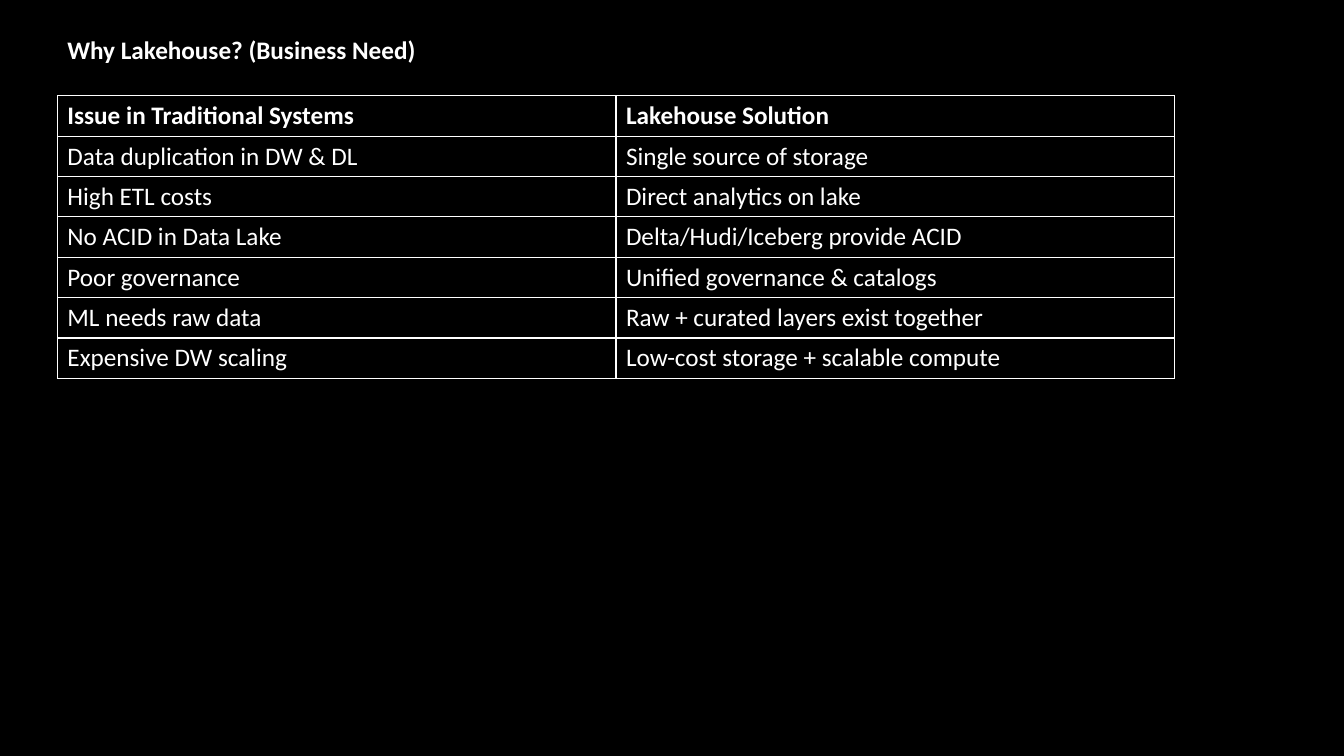
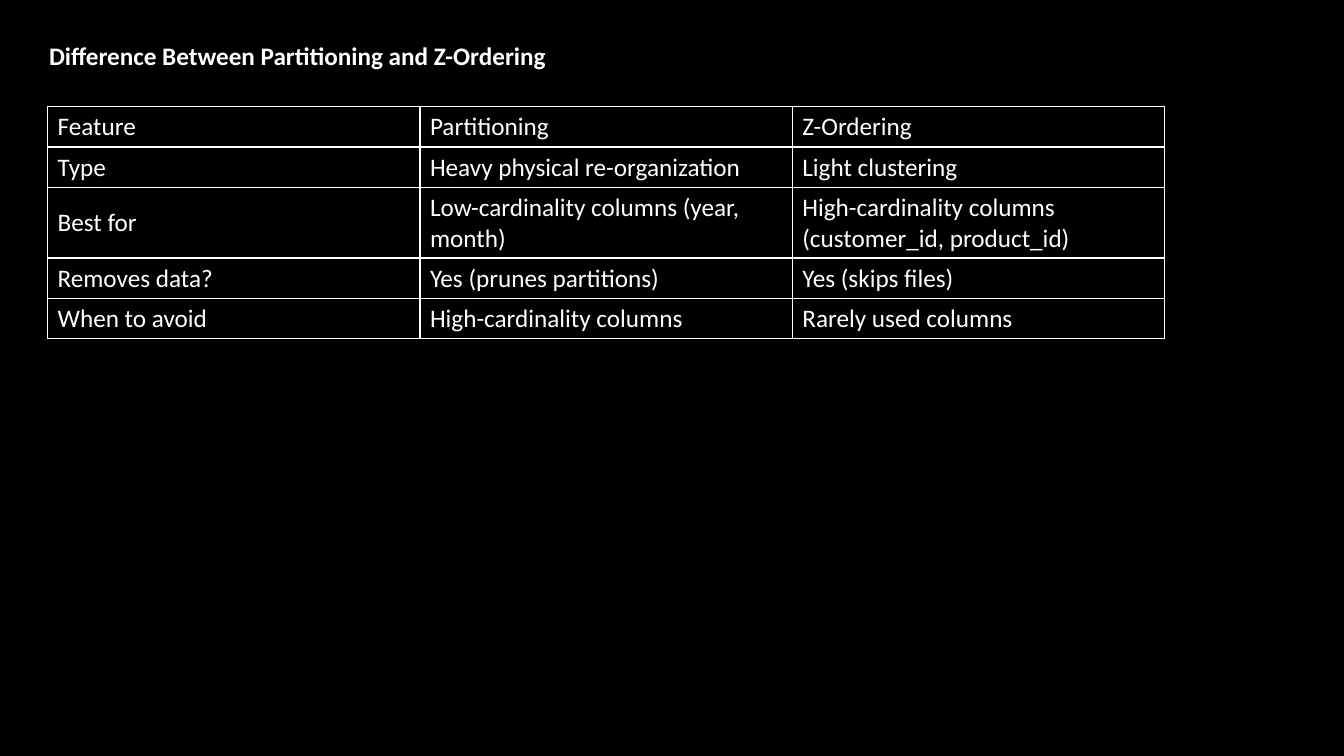
from lxml import etree
from pptx import Presentation
from pptx.dml.color import RGBColor
from pptx.enum import text
from pptx.oxml import ns
from pptx.util import Pt

BACKGROUND = "000000"
FOREGROUND = "FFFFFF"
FONT = "Calibri"
FONT_SIZE = 18
TITLE_HEIGHT = 29
TABLE_WIDTH = 798
LINE_HEIGHT = 21.6
ROW_PADDING = 7.2

# Positions are (left, top); row_lines counts the text lines of each row
SLIDES = [
    {
        "title": "Why Lakehouse? (Business Need)",
        "title_at": (41, 21),
        "title_width": 841,
        "table_at": (41, 68.4),
        "bold_header": True,
        "row_lines": [1] * 7,
        "rows": [
            ("Issue in Traditional Systems", "Lakehouse Solution"),
            ("Data duplication in DW & DL", "Single source of storage"),
            ("High ETL costs", "Direct analytics on lake"),
            ("No ACID in Data Lake", "Delta/Hudi/Iceberg provide ACID"),
            ("Poor governance", "Unified governance & catalogs"),
            ("ML needs raw data", "Raw + curated layers exist together"),
            ("Expensive DW scaling", "Low-cost storage + scalable compute"),
        ],
    },
    {
        "title": "Difference Between Partitioning and Z-Ordering",
        "title_at": (28, 25.2),
        "title_width": 692,
        "table_at": (34, 76.2),
        "bold_header": False,
        "row_lines": [1, 1, 2, 1, 1],
        "rows": [
            ("Feature", "Partitioning", "Z-Ordering"),
            ("Type", "Heavy physical re-organization", "Light clustering"),
            ("Best for", "Low-cardinality columns (year, month)",
             "High-cardinality columns (customer_id, product_id)"),
            ("Removes data?", "Yes (prunes partitions)", "Yes (skips files)"),
            ("When to avoid", "High-cardinality columns", "Rarely used columns"),
        ],
    },
]


def paint(color_format, hex_color):
    color_format.rgb = RGBColor.from_string(hex_color)


def style_text(text_frame, bold):
    font = text_frame.paragraphs[0].runs[0].font
    font.name = FONT
    font.size = Pt(FONT_SIZE)
    font.bold = bold
    paint(font.color, FOREGROUND)


presentation = Presentation()
presentation.slide_width = Pt(960)
presentation.slide_height = Pt(540)

for content in SLIDES:
    slide = presentation.slides.add_slide(presentation.slide_layouts[6])
    slide.background.fill.solid()
    paint(slide.background.fill.fore_color, BACKGROUND)

    # Title
    left, top = content["title_at"]
    title = slide.shapes.add_textbox(
        Pt(left), Pt(top), Pt(content["title_width"]), Pt(TITLE_HEIGHT))
    title.text_frame.word_wrap = True
    title.text_frame.auto_size = text.MSO_AUTO_SIZE.SHAPE_TO_FIT_TEXT
    title.text_frame.text = content["title"]
    style_text(title.text_frame, bold=True)

    # Table grid
    rows = content["rows"]
    heights = [lines * LINE_HEIGHT + ROW_PADDING for lines in content["row_lines"]]
    left, top = content["table_at"]
    table = slide.shapes.add_table(
        len(rows), len(rows[0]),
        Pt(left), Pt(top), Pt(TABLE_WIDTH), Pt(sum(heights))).table
    table.first_row = content["bold_header"]
    table.horz_banding = False
    for row, height in zip(table.rows, heights):
        row.height = Pt(height)

    # Cells: text, borders and fill
    for row_index, values in enumerate(rows):
        for column_index, value in enumerate(values):
            cell = table.cell(row_index, column_index)
            cell.text_frame.text = value
            cell.vertical_anchor = text.MSO_ANCHOR.MIDDLE
            style_text(cell.text_frame, content["bold_header"] and row_index == 0)

            properties = cell._tc.get_or_add_tcPr()
            for side in ("a:lnL", "a:lnR", "a:lnT", "a:lnB"):
                border = etree.SubElement(properties, ns.qn(side), w=str(Pt(1)))
                fill = etree.SubElement(border, ns.qn("a:solidFill"))
                etree.SubElement(fill, ns.qn("a:srgbClr"), val=FOREGROUND)
            cell.fill.solid()
            paint(cell.fill.fore_color, BACKGROUND)

presentation.save("out.pptx")
